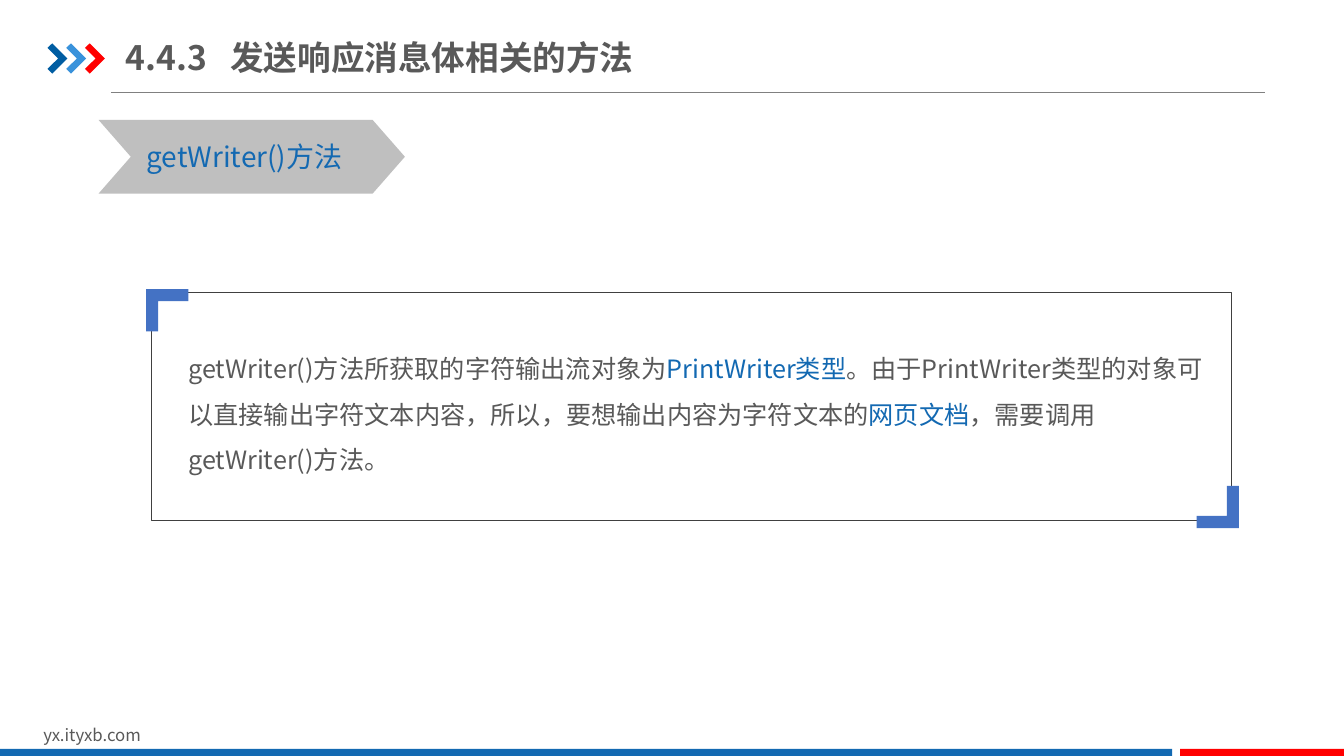
from lxml.etree import SubElement
from pptx import Presentation
from pptx.dml.color import RGBColor
from pptx.enum.shapes import MSO_CONNECTOR, MSO_SHAPE
from pptx.enum.text import MSO_ANCHOR
from pptx.oxml.ns import qn
from pptx.util import Pt

FONT = "Noto Sans CJK SC"
BLUE = RGBColor(0x13, 0x69, 0xB2)
DARK_BLUE = RGBColor(0x00, 0x5D, 0xA2)
LIGHT_BLUE = RGBColor(0x39, 0x92, 0xDB)
CORNER_BLUE = RGBColor(0x44, 0x72, 0xC4)
RED = RGBColor(0xFF, 0x00, 0x00)
TEXT_GRAY = RGBColor(0x59, 0x59, 0x59)
RULE_GRAY = RGBColor(0x80, 0x80, 0x80)
BANNER_GRAY = RGBColor(0xBF, 0xBF, 0xBF)
FRAME_GRAY = RGBColor(0x40, 0x40, 0x40)

# Outlines in points, measured from their own starting corner
ARROW = [(0, 3.2), (3.4, 0), (14.2, 10.8), (3.4, 21.6), (0, 18.2), (7.6, 10.8)]
BRACKET = [(0, 0), (30.2, 0), (30.2, 8.6), (8.6, 8.6), (8.6, 30.2), (0, 30.2)]


def paint(shape, fill=None, line=None, width=0.25):
    shape.shadow.inherit = False
    if fill is None:
        shape.fill.background()
    else:
        shape.fill.solid()
        shape.fill.fore_color.rgb = fill
    if line is None:
        shape.line.fill.background()
    else:
        shape.line.color.rgb = line
        shape.line.width = Pt(width)


def add_preset(page, kind, left, top, width, height, **colors):
    shape = page.shapes.add_shape(kind, Pt(left), Pt(top), Pt(width), Pt(height))
    paint(shape, **colors)
    return shape


def add_outline(page, outline, left, top, fill, direction=1):
    points = [(Pt(left + direction * x), Pt(top + direction * y)) for x, y in outline]
    builder = page.shapes.build_freeform(*points[0])
    builder.add_line_segments(points[1:], close=True)
    paint(builder.convert_to_shape(), fill=fill)


def add_rule(page, left, right, y):
    rule = page.shapes.add_connector(MSO_CONNECTOR.STRAIGHT, Pt(left), Pt(y), Pt(right), Pt(y))
    rule.line.color.rgb = RULE_GRAY
    rule.line.width = Pt(0.5)
    SubElement(rule._element.spPr, qn("a:effectLst"))


def add_text(page, left, top, width, height, size, spans, bold=False, wrap=True):
    box = page.shapes.add_textbox(Pt(left), Pt(top), Pt(width), Pt(height))
    box.text_frame.word_wrap = wrap
    para = box.text_frame.paragraphs[0]
    for text, color in spans:
        span = para.add_run()
        span.text = text
        span.font.size = Pt(size)
        span.font.bold = bold
        span.font.color.rgb = color
        span.font.name = FONT
        SubElement(span.font._element, qn("a:ea"), typeface=FONT)
    return box.text_frame


def add_title(page):
    frame = add_text(page, 90, 20.9, 383, 39.6, 24,
                     [("4.4.3\t发送响应消息体相关的方法", TEXT_GRAY)], bold=True)
    frame.vertical_anchor = MSO_ANCHOR.MIDDLE
    frame.margin_left = frame.margin_right = 0
    frame.margin_top = frame.margin_bottom = Pt(5)
    # The tab stop sets the gap after the section number
    properties = frame.paragraphs[0]._p.get_or_add_pPr()
    tabs = SubElement(properties, qn("a:tabLst"))
    SubElement(tabs, qn("a:tab"), pos=str(Pt(74.5)), algn="l")


def main():
    deck = Presentation()
    deck.slide_width, deck.slide_height = Pt(960), Pt(540)
    page = deck.slides.add_slide(deck.slide_layouts[6])

    # Header
    add_rule(page, 79.2, 903.6, 65.8)
    for index, color in enumerate((DARK_BLUE, LIGHT_BLUE, RED)):
        add_outline(page, ARROW, 33.9 + 13.4 * index, 31, color)
    add_title(page)

    # Footer
    add_text(page, 23.8, 514.1, 229, 21.6, 12, [("yx.ityxb.com", TEXT_GRAY)])
    for left, width, color in ((0, 837.2, BLUE), (843, 117, RED)):
        add_preset(page, MSO_SHAPE.RECTANGLE, left, 535, width, 6, fill=color)

    # Topic banner
    banner = add_preset(page, MSO_SHAPE.CHEVRON, 70.4, 85.7, 218.8, 52.6, fill=BANNER_GRAY)
    banner.adjustments[0] = 0.438
    add_text(page, 97.6, 95.8, 160.6, 31.7, 20, [("getWriter()方法", BLUE)], wrap=False)

    # Framed explanation
    frame = add_preset(page, MSO_SHAPE.ROUNDED_RECTANGLE, 108, 209, 771.5, 162.6, line=FRAME_GRAY)
    frame.adjustments[0] = 0
    add_outline(page, BRACKET, 104.4, 206.6, CORNER_BLUE)
    add_outline(page, BRACKET, 884.9, 377.2, CORNER_BLUE, direction=-1)
    explanation = add_text(page, 127.4, 238.3, 741.6, 108, 18, [
        ("getWriter()方法所获取的字符输出流对象为", TEXT_GRAY),
        ("PrintWriter类型", BLUE),
        ("。由于PrintWriter类型的对象可以直接输出字符文本内容，所以，要想输出内容为字符文本的", TEXT_GRAY),
        ("网页文档", BLUE),
        ("，需要调用getWriter()方法。", TEXT_GRAY),
    ])
    explanation.paragraphs[0].line_spacing = 1.5

    deck.save("out.pptx")


if __name__ == "__main__":
    main()
